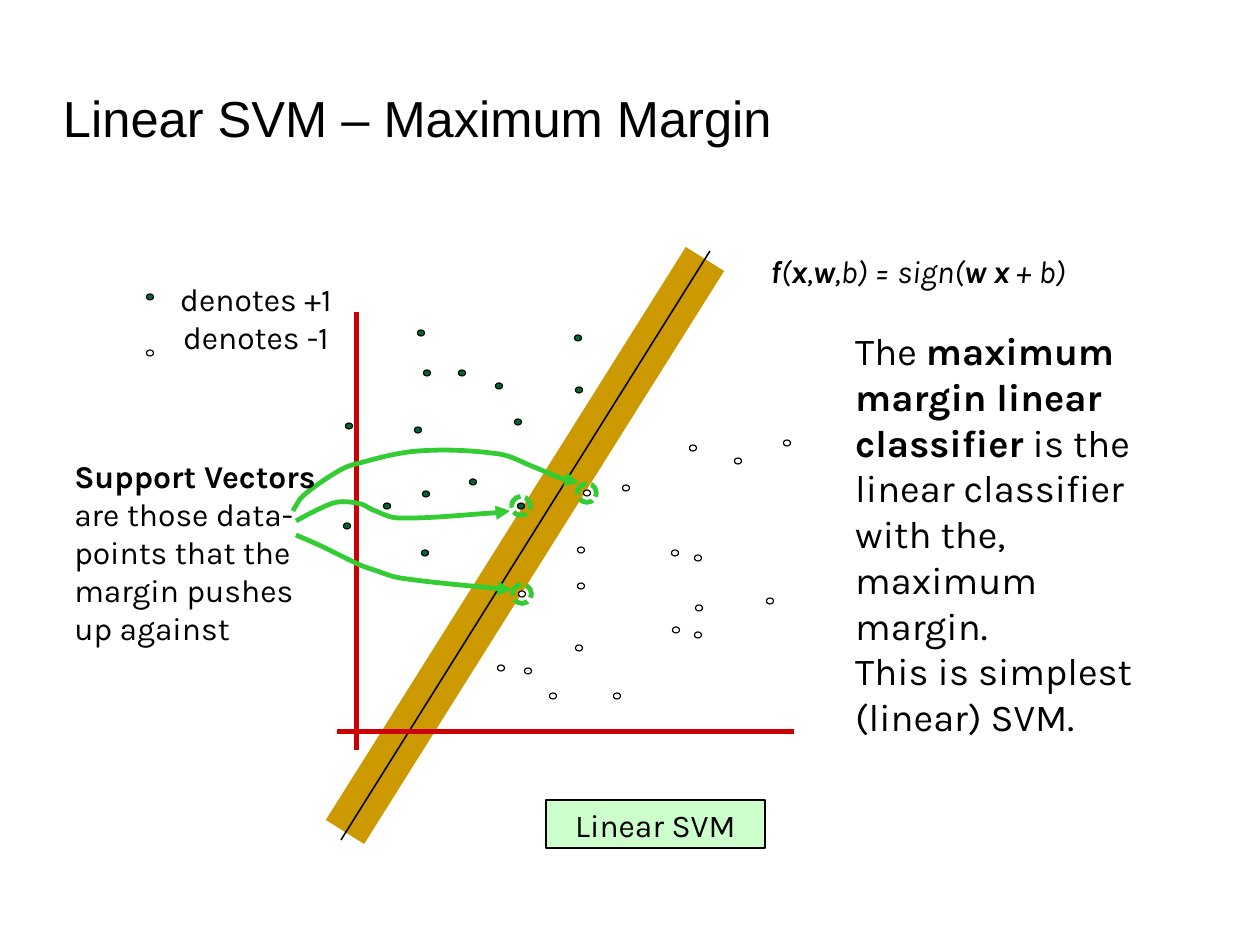
from math import dist
from lxml import etree
from pptx import Presentation
from pptx.dml.color import RGBColor
from pptx.enum.dml import MSO_LINE
from pptx.enum.shapes import MSO_CONNECTOR, MSO_SHAPE
from pptx.enum.text import MSO_ANCHOR, MSO_AUTO_SIZE, PP_ALIGN
from pptx.oxml.ns import qn
from pptx.util import Pt

PX = 8000  # EMU per pixel
OVAL = MSO_SHAPE.OVAL
STRAIGHT, DASH = MSO_CONNECTOR.STRAIGHT, MSO_LINE.SQUARE_DOT
LEFT, CENTER = PP_ALIGN.LEFT, PP_ALIGN.CENTER
MIDDLE, TOP = MSO_ANCHOR.MIDDLE, MSO_ANCHOR.TOP
NO_FIT = MSO_AUTO_SIZE.NONE

COLORS = {"ink": "000000", "positive": "006633", "negative": "FFFFFF",
          "axis": "CC0000", "margin": "CC9900", "support": "33CC33",
          "tag": "CCFFCC"}

# Data points, measured from the corner of the plot's box
POSITIVE = [(27, 286), (259, 150), (142, 133), (98, 190), (107, 133),
            (106, 254), (198, 182), (105, 313), (258, 98), (101, 93),
            (153, 242), (67, 266), (179, 146), (29, 186)]
NEGATIVE = [(181, 428), (355, 313), (467, 203), (379, 368), (306, 248),
            (450, 361), (233, 456), (378, 318), (261, 310), (418, 221),
            (373, 208), (356, 390), (297, 456), (259, 408), (261, 346),
            (208, 431), (378, 395)]
SUPPORT = {"positive": [(201, 266)], "negative": [(267, 253), (202, 354)]}
POINTERS = [
    [(-24, 281), (-3, 270), (18, 262), (41, 264), (53, 270), (78, 278),
     (173, 273), (190, 271)],
    [(-27, 271), (-23, 264), (-18, 257), (-3, 245), (17, 232), (32, 225),
     (98, 211), (179, 214), (214, 227), (238, 237), (259, 243)],
    [(-24, 295), (1, 306), (40, 325), (54, 330), (80, 338), (192, 350)],
]


def rgb(name):
    """Return the named colour."""
    return RGBColor.from_string(COLORS[name])


def emu(*pixels):
    """Turn pixels into EMU."""
    return [round(p * PX) for p in pixels]


def outline(shape, color, width):
    """Set the line of a shape or connector."""
    shape.line.color.rgb = rgb(color)
    shape.line.width = Pt(width)


def freeform(shapes, points, close):
    """Add an unfilled, unlined freeform through points."""
    first, *rest = [emu(*point) for point in points]
    builder = shapes.build_freeform(*first, scale=1.0)
    builder.add_line_segments(rest, close=close)
    shape = builder.convert_to_shape()
    shape.shadow.inherit = False
    shape.fill.background()
    shape.line.fill.background()
    return shape


def text_block(shapes, box, paragraphs, size, align=LEFT, italic=False):
    """Fill a box with paragraphs, each a list of (text, bold) runs."""
    left, top, width, height = box
    right, bottom = left + width, top + height
    block = freeform(shapes, [(left, top), (left, bottom), (right, bottom),
                              (right, top)], close=True)
    frame = block.text_frame
    frame.word_wrap = True
    frame.vertical_anchor = TOP
    for i, pieces in enumerate(paragraphs):
        paragraph = frame.add_paragraph() if i else frame.paragraphs[0]
        paragraph.alignment = align
        for text, bold in pieces:
            run = paragraph.add_run()
            run.text = text
            run.font.name, run.font.size = "Karla", Pt(size)
            run.font.bold, run.font.italic = bold, italic
            run.font.color.rgb = rgb("ink")
    return block


def oval(shapes, center, width, height):
    """Add an ellipse around its centre."""
    x, y = center
    shape = shapes.add_shape(
        OVAL, *emu(x - width / 2, y - height / 2, width, height))
    shape.shadow.inherit = False
    return shape


def dot(shapes, center, kind):
    """Add one data point of the given class."""
    point = oval(shapes, center, 7, 6)
    point.fill.solid()
    point.fill.fore_color.rgb = rgb(kind)
    outline(point, "ink", 0.74)


def ring(shapes, center):
    """Circle a support vector with a dashed ring."""
    circle = oval(shapes, center, 19, 19)
    circle.fill.background()
    outline(circle, "support", 3)
    circle.line.dash_style = DASH


def straight(shapes, start, end, color, width):
    """Add a straight line without shadow."""
    line = shapes.add_connector(STRAIGHT, *emu(*start, *end))
    outline(line, color, width)
    etree.SubElement(line._element.spPr, qn("a:effectLst"))


def bend(curve):
    """Turn the straight segments of a freeform into smooth curves."""
    segments = list(curve._element.iter(qn("a:lnTo")))
    nodes = [(int(pt.get("x")), int(pt.get("y")))
             for pt in curve._element.iter(qn("a:pt"))]
    slopes = []
    for before, after in zip(nodes[:1] + nodes, nodes[1:] + nodes[-1:]):
        span = dist(before, after)
        slopes.append([(b - a) / span for a, b in zip(before, after)])
    for i, segment in enumerate(segments):
        start, end = nodes[i], nodes[i + 1]
        reach = dist(start, end) / 3
        controls = [[p + reach * s for p, s in zip(start, slopes[i])],
                    [p - reach * s for p, s in zip(end, slopes[i + 1])]]
        segment.tag = qn("a:cubicBezTo")
        for place, (x, y) in enumerate(controls):
            segment.insert(place, etree.Element(
                qn("a:pt"), x=str(round(x)), y=str(round(y))))


def pointer(shapes, points):
    """Add a curved arrow through the points."""
    curve = freeform(shapes, points, close=False)
    bend(curve)
    outline(curve, "support", 3)
    etree.SubElement(curve.line._get_or_add_ln(), qn("a:tailEnd"),
                     type="triangle")


def heading(title, box):
    """Move and format the title placeholder."""
    title.left, title.top, title.width, title.height = emu(*box)
    frame = title.text_frame
    frame.text = "Linear SVM – Maximum Margin"
    frame.auto_size = NO_FIT
    frame.vertical_anchor = MIDDLE
    frame.margin_left = frame.margin_right = 0
    frame.margin_top = frame.margin_bottom = 0
    frame.paragraphs[0].alignment = LEFT
    font = frame.paragraphs[0].runs[0].font
    font.name, font.size = "Arial", Pt(31.9)
    font.color.rgb = rgb("ink")


def legend(shapes, box):
    """Explain the two classes of points."""
    left, top = box[:2]
    text_block(shapes, box, [[("denotes +1", False)], [("denotes -1", False)]],
               20, CENTER)
    dot(shapes, (left + 13, top + 23), "positive")
    dot(shapes, (left + 13, top + 79), "negative")


def plot(shapes, box):
    """Draw margin, boundary, axes, points and support vectors."""
    left, top, width, height = box

    def at(x, y):
        return left + x, top + y

    straight(shapes, at(25, 592), at(385, 19), "margin", 28.49)
    straight(shapes, at(21, height), at(390, 11), "ink", 0.99)
    straight(shapes, at(36.5, 72), at(36.5, 510), "axis", 3)
    straight(shapes, at(17, 491.5), at(width, 491.5), "axis", 3)
    for kind, points in (("positive", POSITIVE), ("negative", NEGATIVE)):
        for point in points + SUPPORT[kind]:
            dot(shapes, at(*point), kind)
    for path_points in POINTERS:
        pointer(shapes, [at(*point) for point in path_points])
    for point in SUPPORT["positive"] + SUPPORT["negative"]:
        ring(shapes, at(*point))


def method_tag(shapes, box):
    """Add the framed name of the method."""
    tag = text_block(shapes, box, [[("Linear SVM", False)]], 20, CENTER)
    tag.fill.solid()
    tag.fill.fore_color.rgb = rgb("tag")
    outline(tag, "ink", 0.99)


def main():
    """Build and save the slide."""
    deck = Presentation()
    deck.slide_width, deck.slide_height = emu(1260, 945)
    slide = deck.slides.add_slide(deck.slide_layouts[5])
    shapes = slide.shapes
    heading(shapes.title, (63, 72, 900, 90))
    plot(shapes, (320, 240, 474, 600))
    legend(shapes, (137, 274, 238, 107))
    text_block(shapes, (718, 246, 400, 50), [[
        ("f", True), ("(", False), ("x", True), (",", False), ("w", True),
        (",b) = sign(", False), ("w x", True), (" + b)", False)]],
        20, CENTER, italic=True)
    text_block(shapes, (844, 322, 343, 447), [
        [("The ", False), ("maximum margin linear classifier", True),
         (" is the linear classifier with the, maximum margin.", False)],
        [("This is simplest (linear) SVM.", False)]], 24)
    method_tag(shapes, (546, 800, 219, 48))
    text_block(shapes, (63, 451, 265, 240), [[
        ("Support Vectors", True),
        (" are those data-points that the margin pushes up against", False)]],
        20)
    deck.save("out.pptx")


main()
